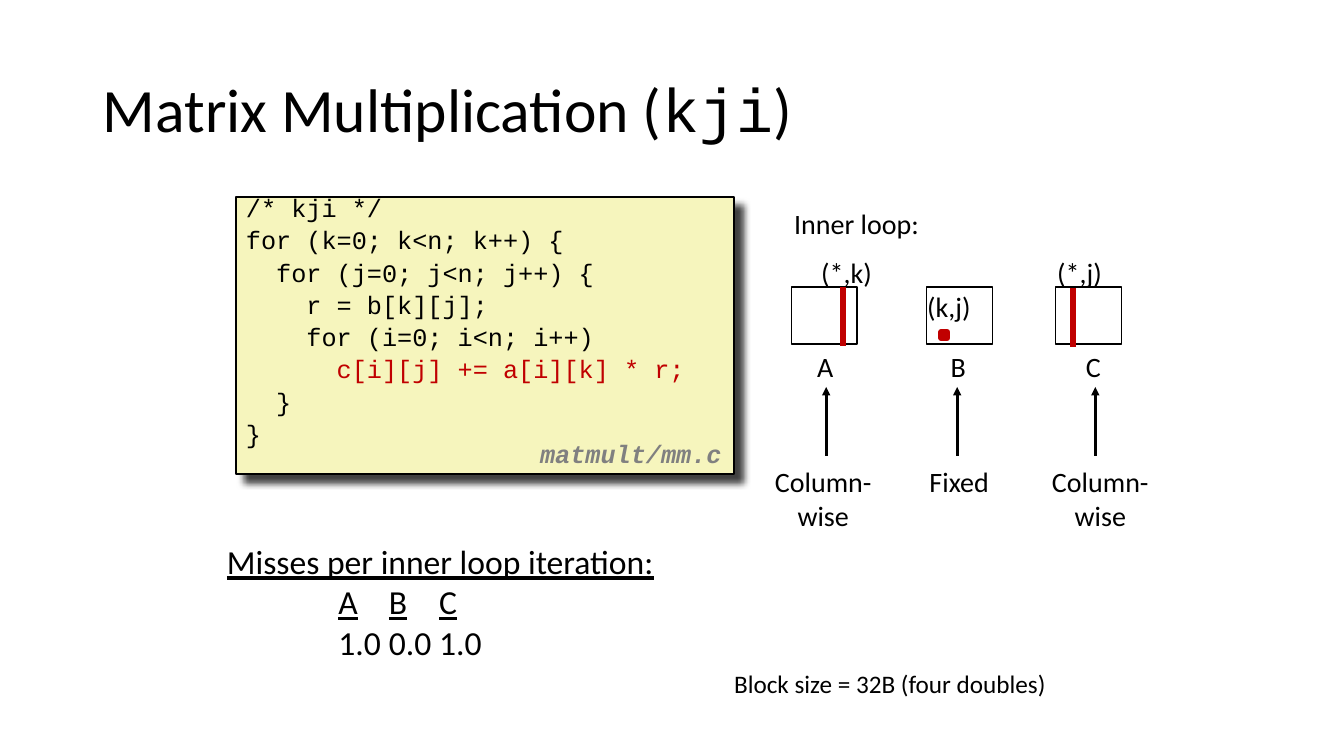
from lxml import etree
from pptx import Presentation
from pptx import util as u
from pptx.dml.color import RGBColor
from pptx.enum import shapes, text
from pptx.oxml import parse_xml
from pptx.oxml.ns import nsdecls, qn

PX = 914400 / 100.8  # EMU in one px
COLORS = {"ink": "000000", "paper": "FFFFFF", "code": "F6F5BD",
          "red": "C00000", "grey": "808080"}
SANS, MONO = "Calibri", "Courier New"
LEFT, CENTER = text.PP_ALIGN.LEFT, text.PP_ALIGN.CENTER
SHADOW = (f'<a:effectLst {nsdecls("a")}><a:outerShdw blurRad="63500" dist="107950" '
          'dir="2700000" algn="tl" rotWithShape="0"><a:srgbClr val="000000">'
          '<a:alpha val="75000"/></a:srgbClr></a:outerShdw></a:effectLst>')


def px(*values):
    return [u.Emu(round(v * PX)) for v in values]


def rgb(name):
    return RGBColor.from_string(COLORS[name])


def write(tf, paragraphs, size=20, font=SANS, color="ink", align=LEFT,
          spacing=None, before_pct=None, indents=None, **style):
    """Each paragraph is a string or a list of (text, run format) pairs."""
    for i, runs in enumerate(paragraphs):
        p = tf.paragraphs[0] if i == 0 else tf.add_paragraph()
        p.alignment = align
        if spacing:
            p.line_spacing = spacing
        if before_pct:
            p.space_before = u.Pt(0)
            before = p._p.pPr.find(qn("a:spcBef"))
            before.remove(before[0])
            etree.SubElement(before, qn("a:spcPct")).set("val", str(before_pct * 1000))
        if indents:
            margin, first = px(*indents[i])
            p._p.pPr.set("marL", str(margin))
            p._p.pPr.set("indent", str(first))
        for words, own in [(runs, {})] if isinstance(runs, str) else runs:
            fmt = {"size": size, "font": font, "color": color, **style, **own}
            r = p.add_run()
            r.text = words
            r.font.size = u.Pt(fmt["size"])
            r.font.name = fmt["font"]
            r.font.color.rgb = rgb(fmt["color"])
            r.font.bold = fmt.get("bold")
            r.font.italic = fmt.get("italic")
            r.font.underline = fmt.get("underline")


class Canvas:
    def __init__(self, slide, line_width=1):
        self.s = slide
        self.line_width = line_width

    def rect(self, x, y, w, h, fill="paper", line="ink", width=None, shadow=False):
        sp = self.s.shapes.add_shape(shapes.MSO_SHAPE.RECTANGLE, *px(x, y, w, h))
        sp.fill.solid()
        sp.fill.fore_color.rgb = rgb(fill)
        sp.line.color.rgb = rgb(line)
        sp.line.width = u.Pt(width or self.line_width)
        sp.shadow.inherit = False
        if shadow:
            spPr = sp._element.spPr
            spPr.replace(spPr.find(qn("a:effectLst")), parse_xml(SHADOW))
        return sp

    def text(self, x, y, w, h, paragraphs, wrap=False, middle=False, **fmt):
        tf = self.s.shapes.add_textbox(*px(x, y, w, h)).text_frame
        tf.word_wrap = wrap
        if middle:
            tf.vertical_anchor = text.MSO_ANCHOR.MIDDLE
        if not wrap:
            tf.auto_size = text.MSO_AUTO_SIZE.SHAPE_TO_FIT_TEXT
        write(tf, paragraphs, **fmt)

    def line(self, x, y1, y2, color="ink", width=2, arrow=False):
        c = self.s.shapes.add_connector(shapes.MSO_CONNECTOR.STRAIGHT, *px(x, y1, x, y2))
        c.line.color.rgb = rgb(color)
        c.line.width = u.Pt(width)
        if arrow:
            ln = c.line._get_or_add_ln()
            etree.SubElement(ln, qn("a:tailEnd")).set("type", "triangle")
        etree.SubElement(c._element.spPr, qn("a:effectLst"))


def main():
    prs = Presentation()
    prs.slide_width, prs.slide_height = u.Inches(13.33), u.Inches(7.5)
    s = Canvas(prs.slides.add_slide(prs.slide_layouts[6]))

    # Title
    s.text(93, 40, 1159, 146,
           [[("Matrix Multiplication (", {}), ("kji", {"font": MONO}), (")", {})]],
           wrap=True, middle=True, size=44, spacing=0.9)

    # Code listing
    code = s.rect(236, 197, 498, 277, fill="code", shadow=True)
    code.text_frame.word_wrap = True
    code.text_frame.vertical_anchor = text.MSO_ANCHOR.TOP
    write(code.text_frame, [
        "/* kji */",
        "for (k=0; k<n; k++) {",
        "  for (j=0; j<n; j++) {",
        "    r = b[k][j];",
        "    for (i=0; i<n; i++)",
        [("      ", {}), ("c[i][j] += a[i][k] * r;", {"color": "red"})],
        "  }",
        "}",
    ], size=18, font=MONO, spacing=0.65, before_pct=50)
    s.text(530, 436, 210, 39, ["matmult/mm.c"], size=18, font=MONO, color="grey",
           spacing=0.94, bold=True, italic=True)

    # Matrices: name, box left, name centre, arrow x, access centre and width, access
    s.text(784, 202, 146, 43, ["Inner loop:"])
    for name, box_x, name_x, arrow_x, access_x, access_w, access in [
        ("A", 791, 825, 826, 823, 118, ["Column-", "wise"]),
        ("B", 926, 958, 957, 959, 80, ["Fixed"]),
        ("C", 1055, 1093, 1095, 1100, 118, ["Column-", "wise"]),
    ]:
        s.rect(box_x, 287, 66, 57)
        s.text(name_x - 18, 345, 36, 43, [name], align=CENTER)
        s.line(arrow_x, 456, 387, arrow=True)
        s.text(access_x - access_w // 2, 460, access_w, 10 + 34 * len(access),
               access, align=CENTER)

    # Elements touched by the inner loop
    for x, y, w, index in [(811, 251, 72, "(*,k)"), (917, 285, 64, "(k,j)"),
                           (1047, 251, 66, "(*,j)")]:
        s.text(x, y, w, 43, [index])
    s.rect(941, 332, 6, 6, fill="ink", line="red", width=4.5)
    for x, top in [(843, 287), (1073, 288)]:
        s.line(x, top + 59, top, color="red", width=4.5)

    # Miss rates
    under = {"underline": True}
    s.text(217, 536, 547, 135, [
        [("Misses per inner loop iteration:", under)],
        [("\t\t", {}), ("A", under), ("\t", {}), ("B", under), ("\t", {}), ("C", under)],
        "\t\t1.0\t0.0\t1.0",
    ], wrap=True, size=24, indents=[(24, -24), (61, -24), (61, -24)])
    s.text(724, 663, 444, 40, ["Block size = 32B (four doubles)"], wrap=True, size=18)

    prs.save("out.pptx")


if __name__ == "__main__":
    main()
